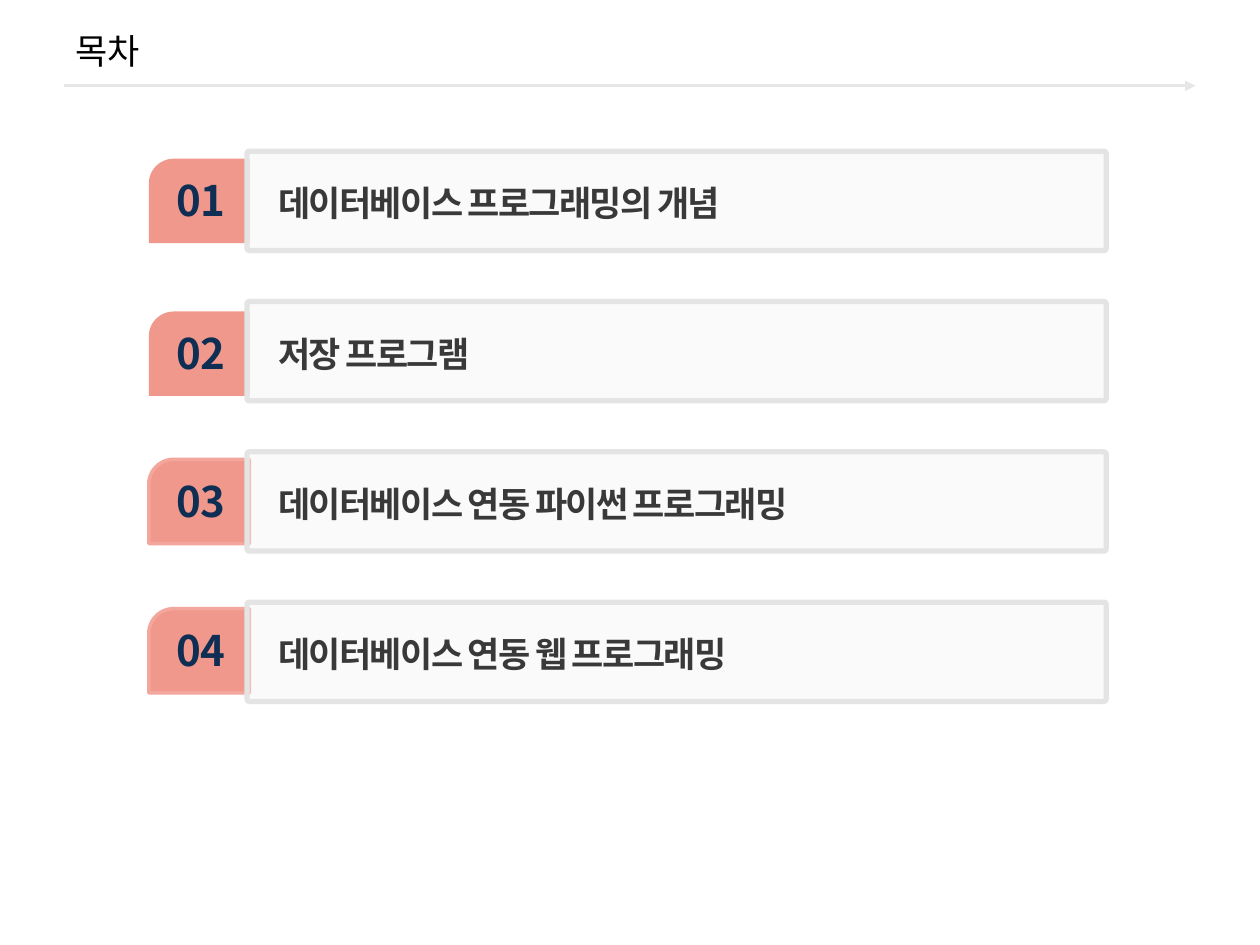
import dataclasses

import lxml.etree
import pptx
import pptx.dml.color
import pptx.enum.shapes
import pptx.enum.text
import pptx.oxml.ns
import pptx.util
from copy import deepcopy

Cm = pptx.util.Cm
Pt = pptx.util.Pt
qn = pptx.oxml.ns.qn
SHAPE = pptx.enum.shapes.MSO_SHAPE
ALIGN = pptx.enum.text.PP_ALIGN
ANCHOR = pptx.enum.text.MSO_ANCHOR
AUTO_SIZE = pptx.enum.text.MSO_AUTO_SIZE


@dataclasses.dataclass(frozen=True)
class Theme:
    """Colours, font and type sizes of the deck."""
    font: str = "Noto Sans CJK KR"
    title: str = "000000"
    rule: str = "E6E6E6"
    tab: str = "F0988C"
    tab_edge: str = "F2A69C"
    number: tuple = ("0B203B", "0F2E53", "123663")
    panel: str = "F2F2F2"
    panel_edge: str = "E4E4E4"
    topic: str = "393939"
    title_size: int = 20
    number_size: int = 24
    topic_size: int = 20


THEME = Theme()

TOPICS = [
    ("01", "데이터베이스 프로그래밍의 개념", 0.15, False),
    ("02", "저장 프로그램", 0.2, False),
    ("03", "데이터베이스 연동 파이썬 프로그래밍", 0.15, True),
    ("04", "데이터베이스 연동 웹 프로그래밍", 0.13, True),
]


def rgb(code):
    """Turn a hex code into a colour."""
    return pptx.dml.color.RGBColor.from_string(code)


def add_run(paragraph, text, size, bold=False):
    """Add a run in the theme font and return it."""
    run = paragraph.add_run()
    run.text = text
    run.font.size = Pt(size)
    run.font.bold = bold
    run.font.name = THEME.font
    east_asian = lxml.etree.SubElement(run.font._element, qn("a:ea"))
    east_asian.set("typeface", THEME.font)
    return run


def fill_gradient(fill, colours):
    """Fill with a vertical gradient of three evenly spaced colours."""
    fill.gradient()
    fill.gradient_angle = 90
    stop_list = fill._xPr.find(qn("a:gradFill")).find(qn("a:gsLst"))
    stop_list.insert(1, deepcopy(stop_list[0]))
    for stop, colour, position in zip(fill.gradient_stops, colours, (0, 0.5, 1)):
        stop.color.rgb = rgb(colour)
        stop.position = position


def add_block(shapes, preset, box, adjustments, fill, edge=None, width=0):
    """Add a flat preset shape with an optional edge."""
    block = shapes.add_shape(preset, *map(Cm, box))
    block.shadow.inherit = False
    for index, value in enumerate(adjustments):
        block.adjustments[index] = value
    block.fill.solid()
    block.fill.fore_color.rgb = rgb(fill)
    if edge:
        block.line.color.rgb = rgb(edge)
        block.line.width = Pt(width)
    else:
        block.line.fill.background()
    return block


def add_label(shapes, box, wrap):
    """Add a text box that grows with its text and return its paragraph."""
    frame = shapes.add_textbox(*map(Cm, box)).text_frame
    frame.word_wrap = wrap
    frame.auto_size = AUTO_SIZE.SHAPE_TO_FIT_TEXT
    return frame.paragraphs[0]


def build_header(slide, left, top, width, height, text):
    """Place the title and the arrow rule near its foot."""
    title = slide.shapes.title
    title.left, title.top, title.width, title.height = map(Cm, (left, top, width, height))
    frame = title.text_frame
    frame.auto_size = AUTO_SIZE.NONE
    frame.vertical_anchor = ANCHOR.MIDDLE
    frame.paragraphs[0].alignment = ALIGN.LEFT
    run = add_run(frame.paragraphs[0], text, THEME.title_size)
    run.font.color.rgb = rgb(THEME.title)

    rule_y = Cm(top + height - 0.1)
    rule = slide.shapes.add_connector(
        pptx.enum.shapes.MSO_CONNECTOR.STRAIGHT,
        Cm(left + 0.03), rule_y, Cm(left + width - 0.03), rule_y)
    rule.line.color.rgb = rgb(THEME.rule)
    rule.line.width = Pt(1.5)
    arrow = lxml.etree.SubElement(rule.line._get_or_add_ln(), qn("a:tailEnd"))
    arrow.set("type", "triangle")
    lxml.etree.SubElement(rule._element.spPr, qn("a:effectLst"))


def build_topic(slide, left, top, width, height, number, topic, tab_drop, edged):
    """Place one numbered tab and its topic panel."""
    shapes = slide.shapes.add_group_shape().shapes
    tab_top = top + tab_drop
    add_block(shapes, SHAPE.SNIP_ROUND_RECTANGLE, (left, tab_top, 2.03, 1.7),
              (0.296, 0), THEME.tab, THEME.tab_edge if edged else None, 2)

    number_line = add_label(shapes, (left + 0.3, tab_top + 0.2, 1.5, 1.27), False)
    number_line.alignment = ALIGN.CENTER
    number_run = add_run(number_line, number, THEME.number_size, True)
    fill_gradient(number_run.font.fill, THEME.number)

    panel = add_block(shapes, SHAPE.ROUNDED_RECTANGLE, (left + 1.98, top, width - 1.98, height),
                      (0.023,), THEME.panel, THEME.panel_edge, 3)
    colour = panel.fill._xPr.find(qn("a:solidFill"))[0]
    lxml.etree.SubElement(colour, qn("a:alpha")).set("val", "33000")

    topic_line = add_label(shapes, (left + 2.36, top + 0.41, 13.41, 1.12), True)
    topic_line.line_spacing = 1.1
    topic_line.space_before = Pt(18)
    topic_line.space_after = Pt(3)
    topic_run = add_run(topic_line, topic, THEME.topic_size, True)
    topic_run.font.color.rgb = rgb(THEME.topic)
    topic_run.font._element.set("spc", "-100")


def build_contents(slide, left, top, width, pitch, topics):
    """Stack the topics at an equal pitch."""
    for row, topic in enumerate(topics):
        build_topic(slide, left, top + row * pitch, width, 2, *topic)


def main():
    """Build and save the contents slide."""
    deck = pptx.Presentation()
    deck.slide_width, deck.slide_height = Cm(25.4), Cm(19.05)
    slide = deck.slides.add_slide(deck.slide_layouts[5])
    build_header(slide, 1.27, 0.2, 22.86, 1.63, "목차")
    build_contents(slide, 3, 3.05, 19.3, 3.03, TOPICS)
    deck.save("out.pptx")


if __name__ == "__main__":
    main()
